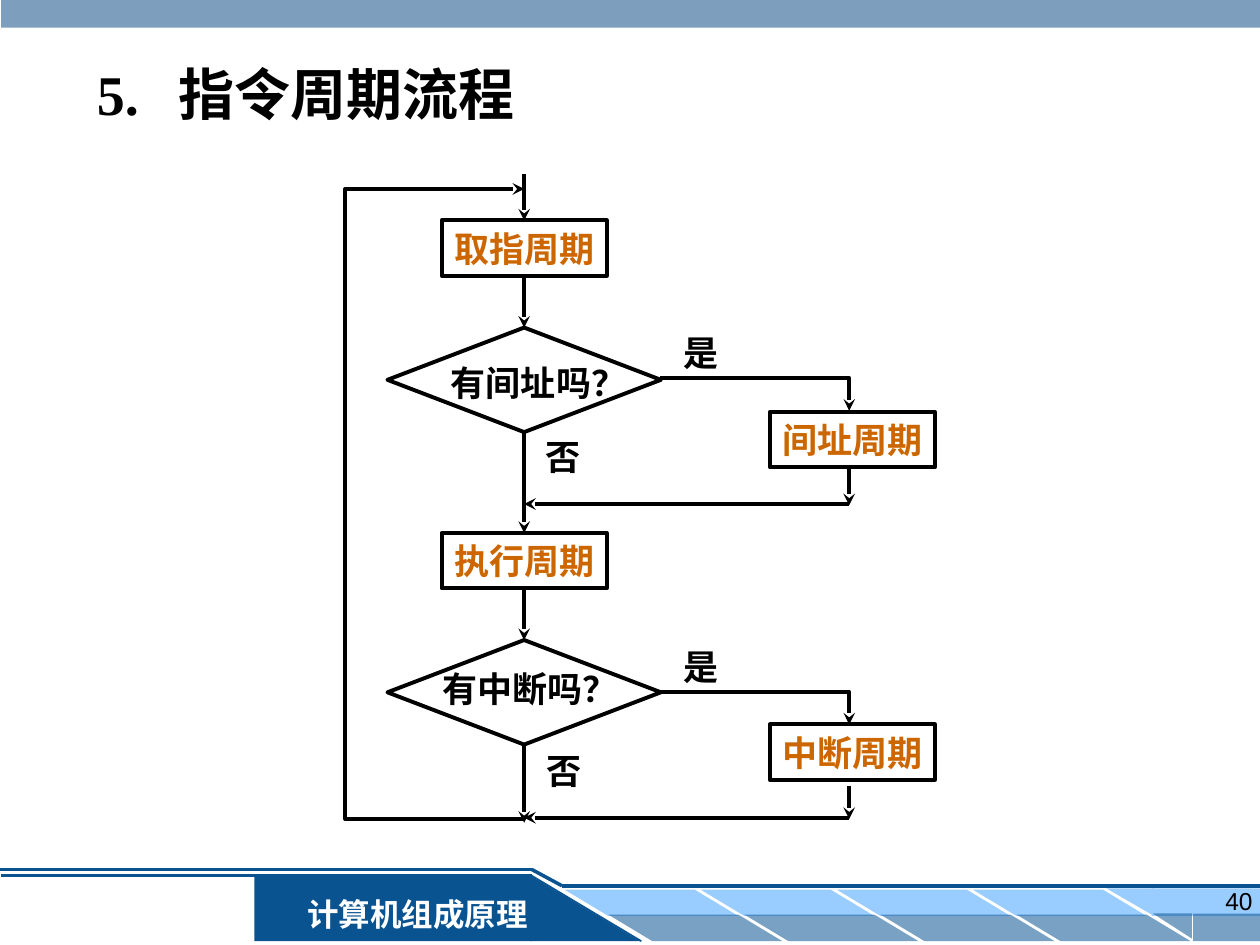
from pptx import Presentation
from pptx.dml.color import RGBColor
from pptx.enum.shapes import MSO_CONNECTOR, MSO_SHAPE
from pptx.enum.text import MSO_ANCHOR, PP_ALIGN
from pptx.oxml.ns import qn
from pptx.oxml.xmlchemy import OxmlElement
from pptx.util import Inches, Pt

BLACK = RGBColor(0x00, 0x00, 0x00)
WHITE = RGBColor(0xFF, 0xFF, 0xFF)
ORANGE = RGBColor(0xCC, 0x66, 0x00)
NAVY = RGBColor(0x09, 0x53, 0x91)
SKY = RGBColor(0x99, 0xCC, 0xFF)
STEEL = RGBColor(0x33, 0x66, 0x99)

prs = Presentation()
prs.slide_width, prs.slide_height = Inches(10), Inches(7.5)
slide = prs.slides.add_slide(prs.slide_layouts[6])
shapes = slide.shapes


def add_block(kind, box, fill=None, opacity=100, flip=""):
    """Add a filled shape, or a black outlined one without fill; flip takes "H" and "V"."""
    block = shapes.add_shape(kind, *map(Inches, box))
    block.shadow.inherit = False
    if fill is None:
        block.fill.background()
        block.line.color.rgb = BLACK
        block.line.width = Pt(2.25)
    else:
        block.fill.solid()
        block.fill.fore_color.rgb = fill
        block.line.fill.background()
    if opacity < 100:
        alpha = OxmlElement("a:alpha")
        alpha.set("val", str(opacity * 1000))
        block._element.spPr.find(qn("a:solidFill"))[0].append(alpha)
    for axis in flip:
        block._element.spPr.xfrm.set("flip" + axis, "1")
    return block


def write(holder, text, size, colour, align=PP_ALIGN.LEFT, font="Times New Roman",
          bold=True, wrap=False):
    frame = holder.text_frame
    frame.word_wrap = wrap
    paragraph = frame.paragraphs[0]
    paragraph.text = text
    paragraph.alignment = align
    paragraph.font.name = font
    paragraph.font.size = Pt(size)
    paragraph.font.bold = bold
    paragraph.font.color.rgb = colour


# Footer and header bands
add_block(MSO_SHAPE.RECTANGLE, (2.02, 6.95, 2.2, 0.52), NAVY)
for column in range(4):
    left = 4.48 + 1.08 * column
    for x, y, fill, opacity in ((left, 7.06, SKY, 100), (left + 0.35, 7.26, NAVY, 54)):
        tile = add_block(MSO_SHAPE.PARALLELOGRAM, (x, y, 1.38, 0.21), fill, opacity, "H")
        tile.adjustments[0] = 1.66
add_block(MSO_SHAPE.RECTANGLE, (9.14, 7.05, 0.86, 0.22), SKY)
add_block(MSO_SHAPE.RIGHT_TRIANGLE, (8.78, 7.05, 0.38, 0.22), SKY, flip="HV")
add_block(MSO_SHAPE.RECTANGLE, (9.47, 7.25, 0.54, 0.22), NAVY, 54)
add_block(MSO_SHAPE.RIGHT_TRIANGLE, (9.15, 7.25, 0.31, 0.2), NAVY, 54, "HV")
course = add_block(MSO_SHAPE.RECTANGLE, (2.29, 7.05, 2.05, 0.4), NAVY)
write(course, "计算机组成原理", 18, WHITE, PP_ALIGN.CENTER, wrap=True)
add_block(MSO_SHAPE.RIGHT_TRIANGLE, (4.21, 6.95, 0.87, 0.52), NAVY)
add_block(MSO_SHAPE.RECTANGLE, (0.01, -0.03, 10, 0.25), STEEL, 63)

page_number = shapes.add_textbox(Inches(7.71), Inches(6.98), Inches(2.33), Inches(0.52))
write(page_number, "40", 14, BLACK, PP_ALIGN.RIGHT, "Arial", False, True)

title = shapes.add_textbox(Inches(0.67), Inches(0.42), Inches(6.25), Inches(0.64))
title_tabs = OxmlElement("a:tabLst")
title_stop = OxmlElement("a:tab")
title_stop.set("pos", str(Inches(0.65)))
title_stop.set("algn", "l")
title_tabs.append(title_stop)
title.text_frame.paragraphs[0]._p.get_or_add_pPr().append(title_tabs)
write(title, "5.\t指令周期流程", 32, BLACK, wrap=True)

# Flowchart: a main column and a side branch after each decision
MAIN_X, BRANCH_X = 4.16, 6.74
STEP_W, STEP_H = 1.31, 0.44
DECISION_W, DECISION_H = 2.17, 0.83
main_left = MAIN_X - STEP_W / 2

steps = {}
for name, left, top in (
    ("取指周期", main_left, 1.75),
    ("执行周期", main_left, 4.23),
    ("间址周期", 6.11, 3.27),
    ("中断周期", 6.11, 5.75),
):
    steps[name] = add_block(MSO_SHAPE.RECTANGLE, (left, top, STEP_W, STEP_H))
    steps[name].text_frame.vertical_anchor = MSO_ANCHOR.MIDDLE
    write(steps[name], name, 20, ORANGE)
fetch, execute = steps["取指周期"], steps["执行周期"]

indirect, interrupt = (
    add_block(MSO_SHAPE.DIAMOND, (MAIN_X - DECISION_W / 2, top, DECISION_W, DECISION_H))
    for top in (2.6, 5.08)
)

for text, left, top, width in (
    ("有间址吗？", 3.48, 2.82, 1.59),
    ("有中断吗？", 3.41, 5.25, 1.59),
    ("是", 5.33, 2.58, 0.48),
    ("是", 5.33, 5.07, 0.48),
    ("否", 4.23, 3.41, 0.48),
    ("否", 4.24, 5.9, 0.48),
):
    label = shapes.add_textbox(Inches(left), Inches(top), Inches(width), Inches(0.44))
    write(label, text, 20, BLACK)

# Footer rules: points, width
rules = [
    ([(5.09, 7.47), (4.22, 6.95)], 1),
    ([(4.22, 6.95), (0.01, 6.95)], 1.5),
    ([(-0.01, 6.9), (4.22, 6.9)], 2),
    ([(4.46, 7.03), (10.01, 7.03)], 2),
    ([(4.22, 6.9), (4.46, 7.03)], 2),
]
# Flow arrows: points, joined start shape, joined end shape
flows = [
    ([(MAIN_X, 1.38), (MAIN_X, 1.75)], None, fetch),
    ([(MAIN_X, 2.21), (MAIN_X, 2.58)], fetch, indirect),
    ([(MAIN_X, 3.44), (MAIN_X, 4.25)], indirect, execute),
    ([(MAIN_X, 4.71), (MAIN_X, 5.08)], execute, interrupt),
    ([(MAIN_X, 5.92), (MAIN_X, 6.53)], interrupt, None),
    ([(MAIN_X, 6.5), (2.74, 6.5), (2.74, 1.5), (MAIN_X, 1.5)], None, None),
]
for exit_y, leave_y, merge_y in ((3, 3.72, 4), (5.49, 6.24, 6.49)):
    flows += [
        ([(5.24, exit_y), (BRANCH_X, exit_y), (BRANCH_X, exit_y + 0.26)], None, None),
        ([(BRANCH_X, leave_y), (BRANCH_X, merge_y + 0.01)], None, None),
        ([(BRANCH_X, merge_y), (MAIN_X, merge_y)], None, None),
    ]

strokes = [(points, NAVY, width, False, None, None) for points, width in rules]
strokes += [(points, BLACK, 2.25, True, start, end) for points, start, end in flows]
for points, colour, width, arrow, start, end in strokes:
    corners = [(Inches(x), Inches(y)) for x, y in points]
    if len(corners) == 2:
        stroke = shapes.add_connector(MSO_CONNECTOR.STRAIGHT, *corners[0], *corners[1])
        if start is not None:
            stroke.begin_connect(start, 2)
        if end is not None:
            stroke.end_connect(end, 0)
    else:
        outline = shapes.build_freeform(*corners[0])
        outline.add_line_segments(corners[1:], close=False)
        stroke = outline.convert_to_shape()
        stroke.fill.background()
    stroke.line.color.rgb = colour
    stroke.line.width = Pt(width)
    properties = stroke._element.spPr
    if arrow:
        head = OxmlElement("a:tailEnd")
        head.set("type", "stealth")
        properties.find(qn("a:ln")).append(head)
    properties.append(OxmlElement("a:effectLst"))

prs.save("out.pptx")
